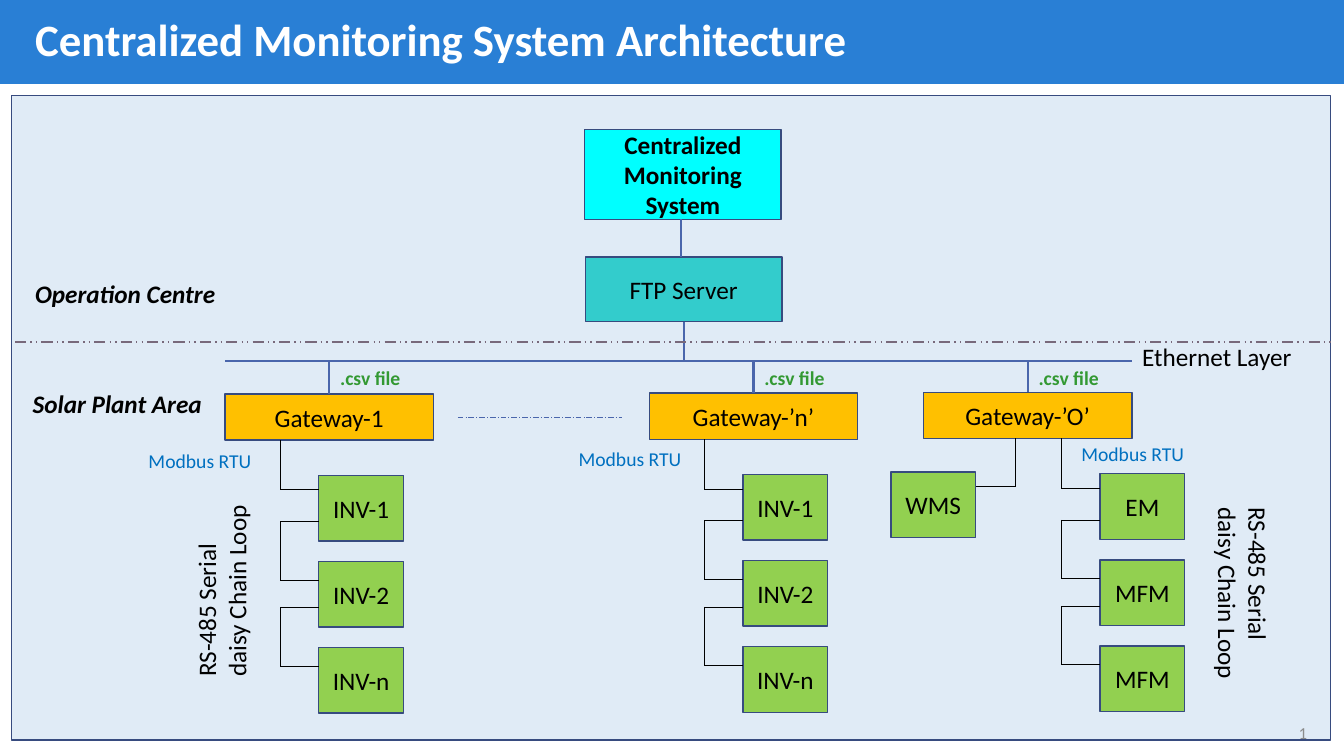
from collections import namedtuple
from lxml import etree
from pptx import Presentation
from pptx.dml.color import RGBColor
from pptx.enum.dml import MSO_LINE as Dash
from pptx.enum.shapes import MSO_CONNECTOR as Connector, MSO_SHAPE as Preset
from pptx.enum.text import MSO_ANCHOR as Anchor, PP_ALIGN as Align
from pptx.oxml.ns import qn
from pptx.util import Inches, Pt

SLIDE_WIDTH, SLIDE_HEIGHT = Inches(13.33), Inches(7.5)
COLUMNS, ROWS = 160, 90
BLACK, WHITE, BORDER, BLUE = "000000", "FFFFFF", "374B7F", "4A66AC"
BUS_ROW = 43
DEVICE_WIDTH, DEVICE_HEIGHT, DEVICE_STEP = 10.1, 7.8, 10.25

Box = namedtuple("Box", "left top width height")


def within(box, left, top, width, height):
    return Box(box.left + left, box.top + top, width, height)


def column(count):
    return round(SLIDE_WIDTH * count / COLUMNS)


def row(count):
    return round(SLIDE_HEIGHT * count / ROWS)


def place(box):
    return column(box.left), row(box.top), column(box.width), row(box.height)


def color(value):
    return RGBColor.from_string(value)


def write(shape, text, size, tint, bold=False, italic=False, align=Align.LEFT):
    frame = shape.text_frame
    frame.text = text
    for paragraph in frame.paragraphs:
        paragraph.alignment = align
        font = paragraph.font
        font.name, font.size = "Calibri", Pt(size)
        font.bold, font.italic = bold, italic
        font.color.rgb = color(tint)
    return frame


def add_box(slide, box, fill, text="", bold=False, border=BORDER):
    shape = slide.shapes.add_shape(Preset.RECTANGLE, *place(box))
    shape.shadow.inherit = False
    shape.fill.solid()
    shape.fill.fore_color.rgb = color(fill)
    if border:
        shape.line.color.rgb = color(border)
        shape.line.width = Pt(1)
    else:
        shape.line.fill.background()
    if text:
        frame = write(shape, text, 18, BLACK, bold, align=Align.CENTER)
        frame.vertical_anchor = Anchor.MIDDLE


def add_label(slide, box, text, size=18, tint=BLACK, rotation=0, wrap=False, **style):
    shape = slide.shapes.add_textbox(*place(box))
    shape.rotation = rotation
    frame = write(shape, text, size, tint, **style)
    frame.word_wrap = wrap
    return frame


def add_line(slide, start, end, tint=BLACK, width=0.5, dash=None):
    connector = slide.shapes.add_connector(
        Connector.STRAIGHT, column(start[0]), row(start[1]), column(end[0]), row(end[1]))
    connector.line.color.rgb = color(tint)
    connector.line.width = Pt(width)
    if dash:
        connector.line.dash_style = dash
    etree.SubElement(connector._element.spPr, qn("a:effectLst"))


def add_path(slide, *points):
    for start, end in zip(points, points[1:]):
        add_line(slide, start, end)


def add_header(slide, box):
    add_box(slide, box, "297FD5", border=None)
    title = add_label(slide, within(box, 3, 0, 146, box.height),
                      "Centralized Monitoring System Architecture",
                      32, WHITE, wrap=True, bold=True)
    title.vertical_anchor = Anchor.MIDDLE
    title.paragraphs[0].line_spacing = 0.9


def add_operation_centre(slide, box):
    add_box(slide, within(box, 0, 15.2, box.width, 7.7), "33CCCC", "FTP Server")
    add_box(slide, within(box, -0.1, 0, box.width, 10.7), "00FFFF",
            "Centralized Monitoring System", bold=True)
    for across, start, end in ((11.4, 10.7, 15.2), (11.7, 22.9, BUS_ROW - box.top)):
        add_line(slide, (box.left + across, box.top + start),
                 (box.left + across, box.top + end), BLUE, 1.5)


def add_chain(slide, gateway, left, names):
    spine = gateway.left + left - 4.6
    edge = gateway.left + left
    exit_row = gateway.top + gateway.height
    for index, name in enumerate(names):
        device = within(gateway, left, 9.7 + DEVICE_STEP * index, DEVICE_WIDTH, DEVICE_HEIGHT)
        add_box(slide, device, "92D050", name)
        entry_row = device.top + (2.2 if index else 1.7)
        start = [(edge, exit_row)] if index else []
        add_path(slide, *start, (spine, exit_row), (spine, entry_row), (edge, entry_row))
        exit_row = device.top + 5.5


def add_gateway(slide, box, name, devices, chain_left, modbus, loop=None, rotation=0):
    drop = box.left + 12.4
    add_box(slide, box, "FFC000", name)
    add_line(slide, (drop, BUS_ROW), (drop, box.top), BLUE, 1.5)
    add_label(slide, Box(drop + 0.1, BUS_ROW, 9.7, 4.1), ".csv file", 14, "339933", bold=True)
    add_chain(slide, box, chain_left, devices)
    add_label(slide, within(box, *modbus, 14.8, 4.1), "Modbus RTU", 14, "0070C0")
    if loop:
        add_label(slide, within(box, *loop, 23, 8.5),
                  "RS-485 Serial\ndaisy Chain Loop", rotation=rotation)


def add_weather_station(slide, gateway):
    device = within(gateway, -3.9, 9.5, DEVICE_WIDTH, DEVICE_HEIGHT)
    add_box(slide, device, "92D050", "WMS")
    spine, entry_row = gateway.left + 10.95, device.top + 1.7
    add_path(slide, (spine, gateway.top + gateway.height), (spine, entry_row),
             (device.left + device.width, entry_row))


def add_solar_plant(slide, box):
    inverters = ("INV-1", "INV-2", "INV-n")
    first = within(box, 0, 3.9, 24.8, 5.5)
    middle = within(box, 50.5, 3.8, 24.8, 5.5)
    last = within(box, 83.15, 3.7, 24.8, 5.5)
    add_line(slide, (box.left, box.top), (box.left + box.width, box.top), BLUE, 1.5)
    add_gateway(slide, first, "Gateway-1", inverters, 11.15, (-10.3, 5.9), (-11.9, 19.1), 270)
    add_gateway(slide, middle, "Gateway-’n’", inverters, 11.15, (-9.6, 5.8))
    add_gateway(slide, last, "Gateway-’O’", ("EM", "MFM", "MFM"), 21,
                (17.6, 5.3), (26.5, 19.8), 90)
    add_weather_station(slide, last)
    add_line(slide, (box.left + 27.7, box.top + 6.7), (box.left + 47.3, box.top + 6.7),
             BLUE, 0.5, Dash.LONG_DASH_DOT)


def add_zones(slide, box):
    right = box.left + box.width
    add_line(slide, (box.left + 0.4, 40.7), (right + 0.4, 40.7),
             "78697B", 1, Dash.DASH_DOT_DOT)
    add_label(slide, within(box, 1.6, 21.1, 24.1, 4.8), "Operation Centre",
              bold=True, italic=True)
    add_label(slide, within(box, 1.3, 34.2, 22.8, 4.8), "Solar Plant Area",
              bold=True, italic=True)
    add_label(slide, within(box, 133.4, 28.7, 20.8, 4.8), "Ethernet Layer")
    number = add_label(slide, within(box, 142.2, 73.1, 13.2, 5.5), "1", 12, "8C8C8C",
                       wrap=True, align=Align.RIGHT)
    number.vertical_anchor = Anchor.MIDDLE


def build_architecture(presentation):
    slide = presentation.slides.add_slide(presentation.slide_layouts[6])
    panel = Box(1.4, 11.4, 157, 76.7)
    add_header(slide, Box(0, 0, COLUMNS, 10))
    add_box(slide, panel, "E0EBF6")
    add_solar_plant(slide, Box(26.8, BUS_ROW, 108, 45))
    add_operation_centre(slide, Box(69.7, 15.4, 23.4, 22.9))
    add_zones(slide, panel)


presentation = Presentation()
presentation.slide_width, presentation.slide_height = SLIDE_WIDTH, SLIDE_HEIGHT
build_architecture(presentation)
presentation.save("out.pptx")
